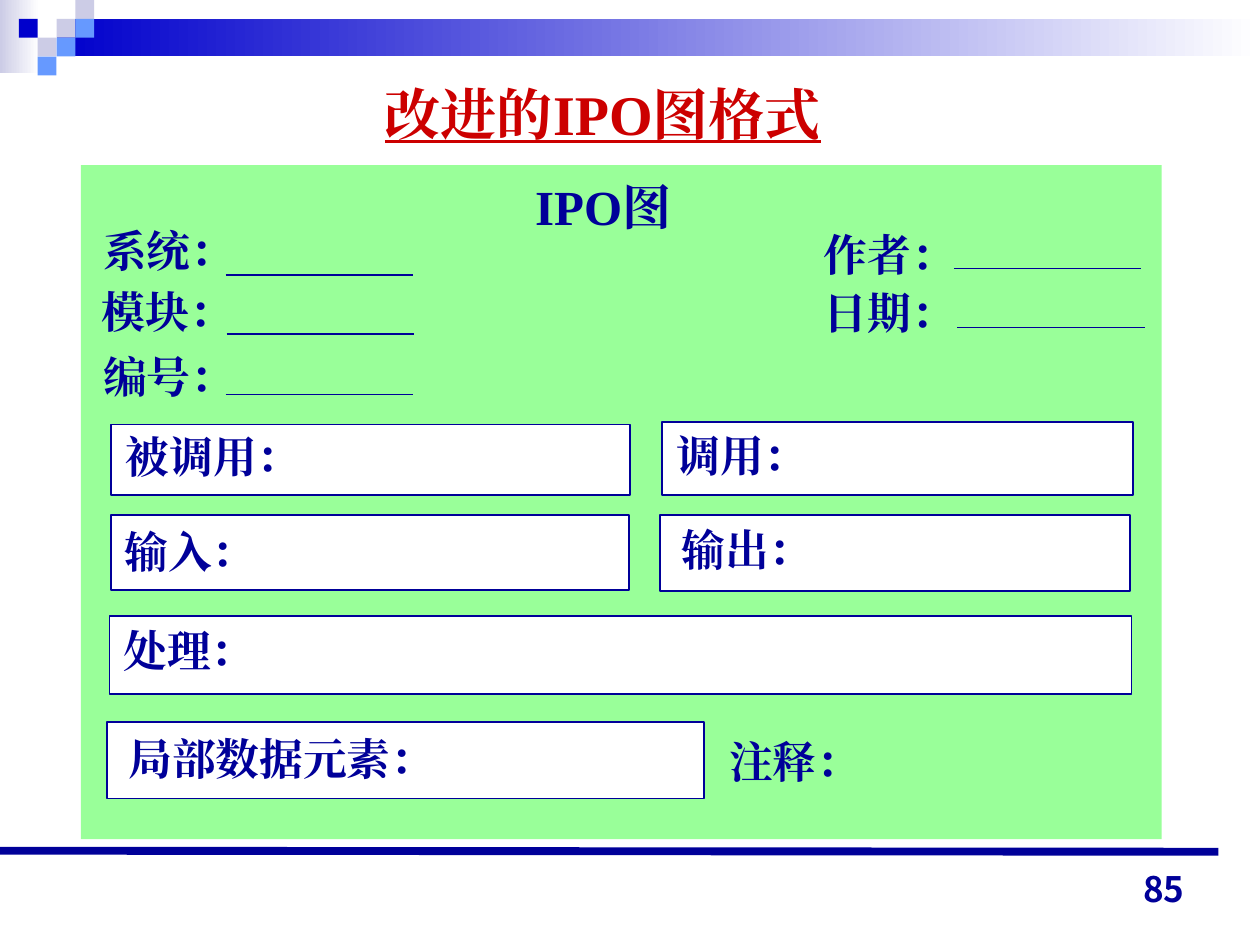
"""Build the slide that shows the layout of an improved IPO chart."""
from dataclasses import dataclass

import pptx
import pptx.dml.color
import pptx.enum.lang
import pptx.enum.shapes
import pptx.enum.text
import pptx.oxml
import pptx.oxml.ns
import pptx.util
from pptx.dml.color import RGBColor
from pptx.enum.text import MSO_ANCHOR, PP_ALIGN
from pptx.util import Cm, Pt

NAVY = RGBColor(0x00, 0x00, 0x99)
BLUE = RGBColor(0x00, 0x00, 0xCC)
SKY = RGBColor(0x66, 0x99, 0xFF)
LAVENDER = RGBColor(0xCC, 0xCC, 0xE6)
GREEN = RGBColor(0x99, 0xFF, 0x99)
RED = RGBColor(0xCC, 0x00, 0x00)
WHITE = RGBColor(0xFF, 0xFF, 0xFF)
SERIF = "Times New Roman"
SANS = "Noto Sans CJK JP"
TILE = 0.38
LABEL_SIZE = 25
RULE_LENGTH = 3.78


@dataclass(frozen=True)
class Tile:
    column: int
    row: int
    color: RGBColor


@dataclass(frozen=True)
class Label:
    text: str
    left: float
    top: float


@dataclass(frozen=True)
class Field:
    label: Label
    rule_left: float
    rule_top: float


@dataclass(frozen=True)
class Box:
    label: Label
    left: float
    top: float
    width: float
    height: float


TILES = [
    Tile(3, 1, LAVENDER), Tile(4, 0, LAVENDER), Tile(4, 1, SKY), Tile(2, 2, LAVENDER),
    Tile(1, 1, BLUE), Tile(3, 2, SKY), Tile(2, 3, SKY),
]
FIELDS = [
    Field(Label("系统：", 1.83, 4.39), 4.55, 5.54),
    Field(Label("模块：", 1.8, 5.61), 4.57, 6.73),
    Field(Label("编号：", 1.83, 6.93), 4.55, 7.95),
    Field(Label("作者：", 16.36, 4.47), 19.23, 5.41),
    Field(Label("日期：", 16.36, 5.64), 19.3, 6.6),
]
BOXES = [
    Box(Label("被调用：", 2.29, 8.53), 2.24, 8.56, 10.46, 1.42),
    Box(Label("调用：", 13.39, 8.51), 13.34, 8.51, 9.5, 1.47),
    Box(Label("输出：", 13.49, 10.41), 13.31, 10.39, 9.47, 1.52),
    Box(Label("输入：", 2.26, 10.46), 2.24, 10.39, 10.44, 1.5),
    Box(Label("处理：", 2.24, 12.45), 2.21, 12.42, 20.6, 1.57),
    Box(Label("局部数据元素：", 2.34, 14.63), 2.16, 14.55, 12.04, 1.55),
]
NOTE = Label("注释：", 14.45, 14.68)


def add_rectangle(slide, left: float, top: float, width: float, height: float,
                  color: RGBColor, outlined: bool = False):
    shape = slide.shapes.add_shape(pptx.enum.shapes.MSO_SHAPE.RECTANGLE,
                                   Cm(left), Cm(top), Cm(width), Cm(height))
    shape.shadow.inherit = False
    shape.fill.solid()
    shape.fill.fore_color.rgb = color
    if outlined:
        shape.line.color.rgb = NAVY
        shape.line.width = Pt(1)
    else:
        shape.line.fill.background()
    return shape


def add_gradient(slide, left: float, top: float, width: float, height: float,
                 color: RGBColor) -> None:
    fill = add_rectangle(slide, left, top, width, height, color).fill
    fill.gradient()
    fill.gradient_angle = 180
    for stop, position, stop_color in zip(fill.gradient_stops, (0, 1), (WHITE, color)):
        stop.position = position
        stop.color.rgb = stop_color


def add_line(slide, start: tuple[float, float], end: tuple[float, float], width: float) -> None:
    connector = slide.shapes.add_connector(pptx.enum.shapes.MSO_CONNECTOR.STRAIGHT,
                                           *(Cm(value) for value in start + end))
    connector.line.color.rgb = NAVY
    connector.line.width = Pt(width)
    properties = connector._element.spPr
    properties.append(pptx.oxml.parse_xml(
        f"<a:effectLst {pptx.oxml.ns.nsdecls('a')}/>"))


def add_run(paragraph, text: str, size: float, color: RGBColor, font_name: str = SERIF):
    run = paragraph.add_run()
    run.text = text
    run.font.size = Pt(size)
    run.font.bold = True
    run.font.name = font_name
    run.font.color.rgb = color
    run.font.language_id = pptx.enum.lang.MSO_LANGUAGE_ID.SIMPLIFIED_CHINESE
    east_asian = pptx.oxml.parse_xml(
        f'<a:ea {pptx.oxml.ns.nsdecls("a")} typeface="{font_name}"/>')
    run._r.rPr.find(pptx.oxml.ns.qn("a:latin")).addnext(east_asian)
    return run


def add_text(slide, text: str, left: float, top: float, width: float, height: float,
             size: float) -> None:
    frame = slide.shapes.add_textbox(Cm(left), Cm(top), Cm(width), Cm(height)).text_frame
    frame.word_wrap = False
    frame.auto_size = pptx.enum.text.MSO_AUTO_SIZE.SHAPE_TO_FIT_TEXT
    add_run(frame.paragraphs[0], text, size, NAVY)


def add_label(slide, label: Label) -> None:
    width = Pt(LABEL_SIZE * len(label.text)).cm + 0.51
    add_text(slide, label.text, label.left, label.top, width, 1.3, LABEL_SIZE)


def add_title(slide) -> None:
    title = slide.shapes.title
    title.left, title.top, title.width, title.height = Cm(3.58), Cm(1.32), Cm(17.15), Cm(1.91)
    frame = title.text_frame
    frame.auto_size = pptx.enum.text.MSO_AUTO_SIZE.NONE
    frame.vertical_anchor = MSO_ANCHOR.MIDDLE
    frame.paragraphs[0].alignment = PP_ALIGN.CENTER
    add_run(frame.paragraphs[0], "改进的IPO图格式", 32, RED).font.underline = True


def add_banner(slide) -> None:
    add_gradient(slide, 0, 0, 0.79, 1.47, LAVENDER)
    add_gradient(slide, 3 * TILE, TILE, 25.4 - 3 * TILE, 2 * TILE, BLUE)
    for tile in TILES:
        add_rectangle(slide, tile.column * TILE, tile.row * TILE, TILE, TILE, tile.color)


def add_page_number(slide) -> None:
    frame = slide.shapes.add_textbox(Cm(18.21), Cm(17.2), Cm(5.92), Cm(1.27)).text_frame
    frame.word_wrap = True
    frame.vertical_anchor = MSO_ANCHOR.BOTTOM
    frame.paragraphs[0].alignment = PP_ALIGN.RIGHT
    add_run(frame.paragraphs[0], "85", 20, NAVY, SANS)


def main() -> None:
    presentation = pptx.Presentation()
    presentation.slide_width = Cm(25.4)
    presentation.slide_height = Cm(19.05)
    slide = presentation.slides.add_slide(presentation.slide_layouts[5])
    add_banner(slide)
    add_line(slide, (0, 17.15), (24.56, 17.17), 4.5)
    add_rectangle(slide, 1.63, 3.33, 21.79, 13.59, GREEN)
    add_title(slide)
    add_text(slide, "IPO图", 10.54, 3.43, 3.48, 1.42, 28)
    for field in FIELDS:
        add_label(slide, field.label)
        add_line(slide, (field.rule_left, field.rule_top),
                 (field.rule_left + RULE_LENGTH, field.rule_top), 1)
    for box in BOXES:
        add_rectangle(slide, box.left, box.top, box.width, box.height, WHITE, outlined=True)
        add_label(slide, box.label)
    add_label(slide, NOTE)
    add_page_number(slide)
    presentation.save("out.pptx")


if __name__ == "__main__":
    main()
